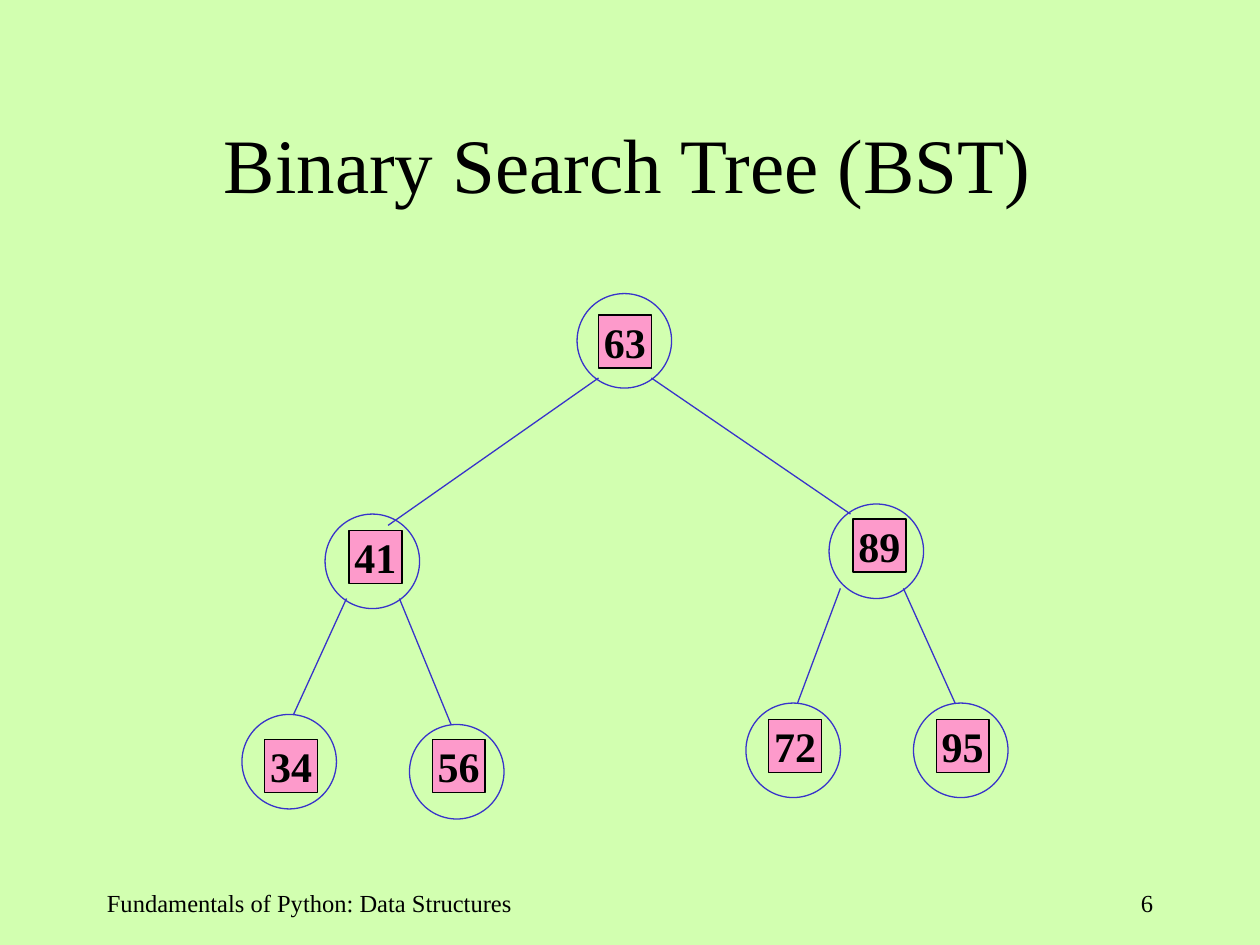
from pptx import Presentation
from pptx.dml.color import RGBColor
from pptx.enum.shapes import MSO_CONNECTOR as CONNECTOR, MSO_SHAPE as SHAPE
from pptx.enum.text import MSO_ANCHOR as ANCHOR, PP_ALIGN as ALIGN
from pptx.oxml.ns import qn
from pptx.util import Inches, Pt
from lxml.etree import SubElement

COLORS = {"page": "D2FFB0", "key": "FD9ACB", "tree": "3833CA", "ink": "000000"}
FONT = "Times New Roman"
LINE_WIDTH = 0.74
KEY_SIZE, KEY_TEXT_HEIGHT, NODE_SIZE = 0.42, 0.4, 0.75


def color(name):
    return RGBColor.from_string(COLORS[name])


def write(box, text, size=14, bold=False, align=ALIGN.LEFT, anchor=ANCHOR.TOP,
          margins=(0.1, 0.05, 0.1, 0.05), wrap=True):
    """Put one formatted line of text into a box."""
    frame = box.text_frame
    frame.word_wrap = wrap
    frame.vertical_anchor = anchor
    (frame.margin_left, frame.margin_top,
     frame.margin_right, frame.margin_bottom) = map(Inches, margins)
    para = frame.paragraphs[0]
    para.alignment = align
    span = para.add_run()
    span.text = text
    span.font.name = FONT
    span.font.size = Pt(size)
    span.font.bold = bold
    span.font.color.rgb = color("ink")


class TreeSlide:
    """Holds the current page and draws the parts of a tree on it."""

    def __init__(self, deck):
        self.page = deck.slides.add_slide(deck.slide_layouts[5])
        fill = self.page.background.fill
        fill.solid()
        fill.fore_color.rgb = color("page")

    def title(self, text, *place):
        box = self.page.shapes.title
        box.left, box.top, box.width, box.height = map(Inches, place)
        write(box, text, size=44, align=ALIGN.CENTER, anchor=ANCHOR.MIDDLE,
              margins=(0.1, 0.05, 0.14, 0.05))

    def label(self, text, *place, parent=None, **style):
        shapes = (parent or self.page).shapes
        write(shapes.add_textbox(*map(Inches, place)), text, **style)

    def shape(self, kind, x, y, size, line, fill=None, parent=None):
        shapes = (parent or self.page).shapes
        shape = shapes.add_shape(kind, *map(Inches, (x, y, size, size)))
        shape.shadow.inherit = False
        shape.line.color.rgb = color(line)
        shape.line.width = Pt(LINE_WIDTH)
        if fill:
            shape.fill.solid()
            shape.fill.fore_color.rgb = color(fill)
        else:
            shape.fill.background()

    def key(self, text, x, y):
        group = self.page.shapes.add_group_shape()
        self.shape(SHAPE.RECTANGLE, x, y, KEY_SIZE, "ink", "key", group)
        self.label(text, x, y + 0.01, KEY_SIZE, KEY_TEXT_HEIGHT, parent=group,
                   size=24, bold=True, align=ALIGN.CENTER,
                   anchor=ANCHOR.MIDDLE, margins=(0, 0, 0, 0), wrap=False)

    def edge(self, start, end):
        line = self.page.shapes.add_connector(
            CONNECTOR.STRAIGHT, *map(Inches, start + end))
        line.line.color.rgb = color("tree")
        line.line.width = Pt(LINE_WIDTH)
        SubElement(line._element.spPr, qn("a:effectLst"))


# Tree data: key, corner of the key square, corner of the node circle
NODES = [
    ("63", (4.75, 2.5), (4.58, 2.33)),
    ("41", (2.77, 4.21), (2.58, 4.08)),
    ("89", (6.77, 4.12), (6.58, 4)),
    ("34", (2.1, 5.87), (1.92, 5.67)),
    ("56", (3.43, 5.87), (3.25, 5.75)),
    ("72", (6.1, 5.71), (5.92, 5.58)),
    ("95", (7.43, 5.71), (7.25, 5.58)),
]
EDGES = [
    ((4.75, 3), (3.08, 4.17)), ((5.17, 3), (6.75, 4.08)),
    ((2.75, 4.75), (2.33, 5.67)), ((3.17, 4.75), (3.58, 5.75)),
    ((6.67, 4.67), (6.33, 5.58)), ((7.17, 4.67), (7.58, 5.58)),
]

deck = Presentation()
deck.slide_width, deck.slide_height = Inches(10), Inches(7.5)
slide = TreeSlide(deck)
slide.title("Binary Search Tree (BST)", 0.75, 0.67, 8.5, 1.25)

# Keys, circles and edges, from back to front
for text, corner, _ in NODES:
    slide.key(text, *corner)
for _, _, corner in NODES:
    slide.shape(SHAPE.OVAL, *corner, NODE_SIZE, "tree")
for start, end in EDGES:
    slide.edge(start, end)

# Footer
slide.label("Fundamentals of Python: Data Structures", 0.75, 7, 3.83, 0.5)
slide.label("6", 7.17, 7, 2.08, 0.5, align=ALIGN.RIGHT)

deck.save("out.pptx")
